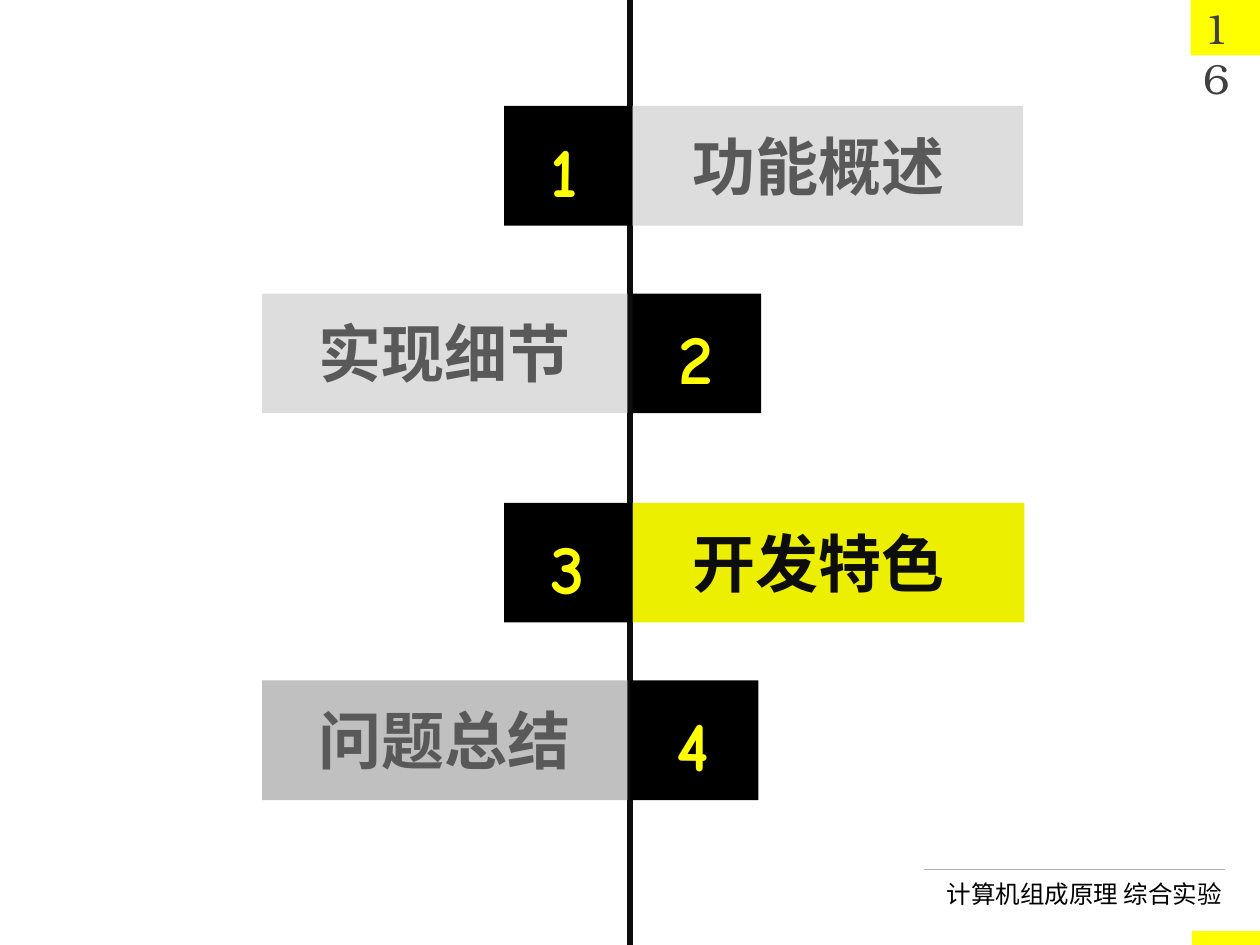
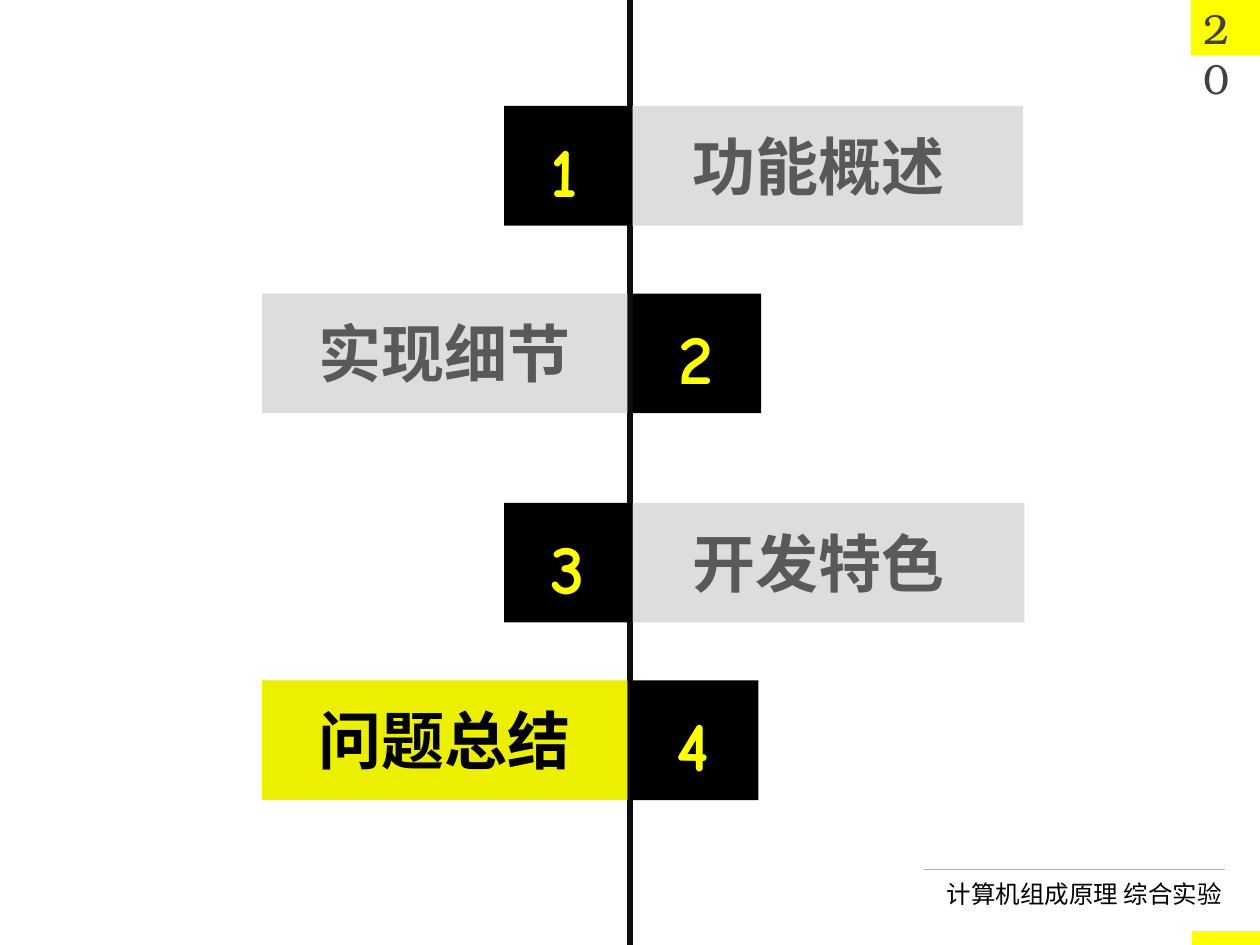
import dataclasses

import lxml.etree
import pptx
import pptx.dml.color
import pptx.enum.shapes
import pptx.enum.text
import pptx.oxml.ns
import pptx.util

COLS, ROWS = 10, 7.5
CELL = pptx.util.Inches(1)


@dataclasses.dataclass(frozen=True)
class Theme:
    accent: str = "FFFF00"
    active: str = "ECEF00"
    idle: str = "DDDDDD"
    next: str = "C0C0C0"
    black: str = "000000"
    ink: str = "0D0D0D"
    muted: str = "595959"
    page: str = "404040"
    rule: str = "B2B2B2"
    topic_font: str = "Noto Sans CJK SC"
    foot_font: str = "Noto Sans CJK JP"
    digit_font: str = "Comic Neue"
    page_font: str = "TeX Gyre Bonum"
    topic_size: int = 36
    digit_size: int = 40
    foot_size: int = 14
    page_size: int = 24


THEME = Theme()
AXIS = COLS / 2
BAR_H = 0.95
TAG_W = 1.02
PAD = 0.12
TOPICS = [
    ("功能概述", 0.84, 4, 5.02, 3.1),
    ("实现细节", 2.33, 5.02, 2.08, 2.9),
    ("开发特色", 3.99, 4, 5.02, 3.11),
    ("问题总结", 5.4, 5, 2.08, 2.9),
]


def place(*cells):
    return [round(cell * CELL) for cell in cells]


def color(code):
    return pptx.dml.color.RGBColor.from_string(code)


def add_rect(slide, box, fill):
    rect = slide.shapes.add_shape(pptx.enum.shapes.MSO_SHAPE.RECTANGLE, *place(*box))
    rect.shadow.inherit = False
    rect.fill.solid()
    rect.fill.fore_color.rgb = color(fill)
    rect.line.fill.background()


def add_line(slide, ends, tint, width):
    line = slide.shapes.add_connector(
        pptx.enum.shapes.MSO_CONNECTOR.STRAIGHT, *place(*ends)
    )
    line.line.color.rgb = color(tint)
    line.line.width = pptx.util.Pt(width)
    props = line._element.spPr
    lxml.etree.SubElement(props, pptx.oxml.ns.qn("a:effectLst"))


def add_text(slide, box, text, face, size, tint, bold=False, wrap=True, align=None):
    frame = slide.shapes.add_textbox(*place(*box)).text_frame
    frame.word_wrap = wrap
    para = frame.paragraphs[0]
    para.text = text
    para.alignment = align
    para.font.name = face
    para.font.size = pptx.util.Pt(size)
    para.font.bold = bold
    para.font.color.rgb = color(tint)
    props = para._p.pPr.find(pptx.oxml.ns.qn("a:defRPr"))
    lxml.etree.SubElement(props, pptx.oxml.ns.qn("a:ea"), typeface=face)


def add_frame(slide, page):
    add_rect(slide, (9.45, 0, 0.55, 0.44), THEME.accent)
    add_rect(slide, (9.46, 7.39, 0.54, 0.11), THEME.accent)
    add_text(slide, (9.45, -0.03, 0.5, 0.5), str(page),
             THEME.page_font, THEME.page_size, THEME.page)
    add_line(slide, (7.33, 6.9, 9.72, 6.9), THEME.rule, 0.75)
    add_text(slide, (7.34, 6.93, 2.46, 0.34), "计算机组成原理 综合实验",
             THEME.foot_font, THEME.foot_size, THEME.black,
             wrap=False, align=pptx.enum.text.PP_ALIGN.RIGHT)


def add_topic(slide, order, topic, fill, tint):
    name, top, tag, left, width = topic
    inset = 0.38 if left > AXIS else 0.35
    add_rect(slide, (left, top, width, BAR_H), fill)
    add_text(slide, (left + inset, top + PAD, width - inset, 1.01), name,
             THEME.topic_font, THEME.topic_size, tint, bold=True)
    add_rect(slide, (tag, top, TAG_W, BAR_H), THEME.black)
    add_text(slide, (tag + 0.27, top + PAD, 0.89, 1.08), str(order),
             THEME.digit_font, THEME.digit_size, THEME.accent, bold=True)


def add_agenda(deck, page, styles):
    slide = deck.slides.add_slide(deck.slide_layouts[6])
    add_frame(slide, page)
    add_line(slide, (AXIS, 0, AXIS, ROWS), THEME.ink, 3)
    for order, topic in enumerate(TOPICS, 1):
        fill, tint = styles.get(order, (THEME.idle, THEME.muted))
        add_topic(slide, order, topic, fill, tint)


def main():
    deck = pptx.Presentation()
    deck.slide_width, deck.slide_height = place(COLS, ROWS)
    add_agenda(deck, 16, {3: (THEME.active, THEME.ink), 4: (THEME.next, THEME.muted)})
    add_agenda(deck, 20, {4: (THEME.active, THEME.black)})
    deck.save("out.pptx")


if __name__ == "__main__":
    main()
